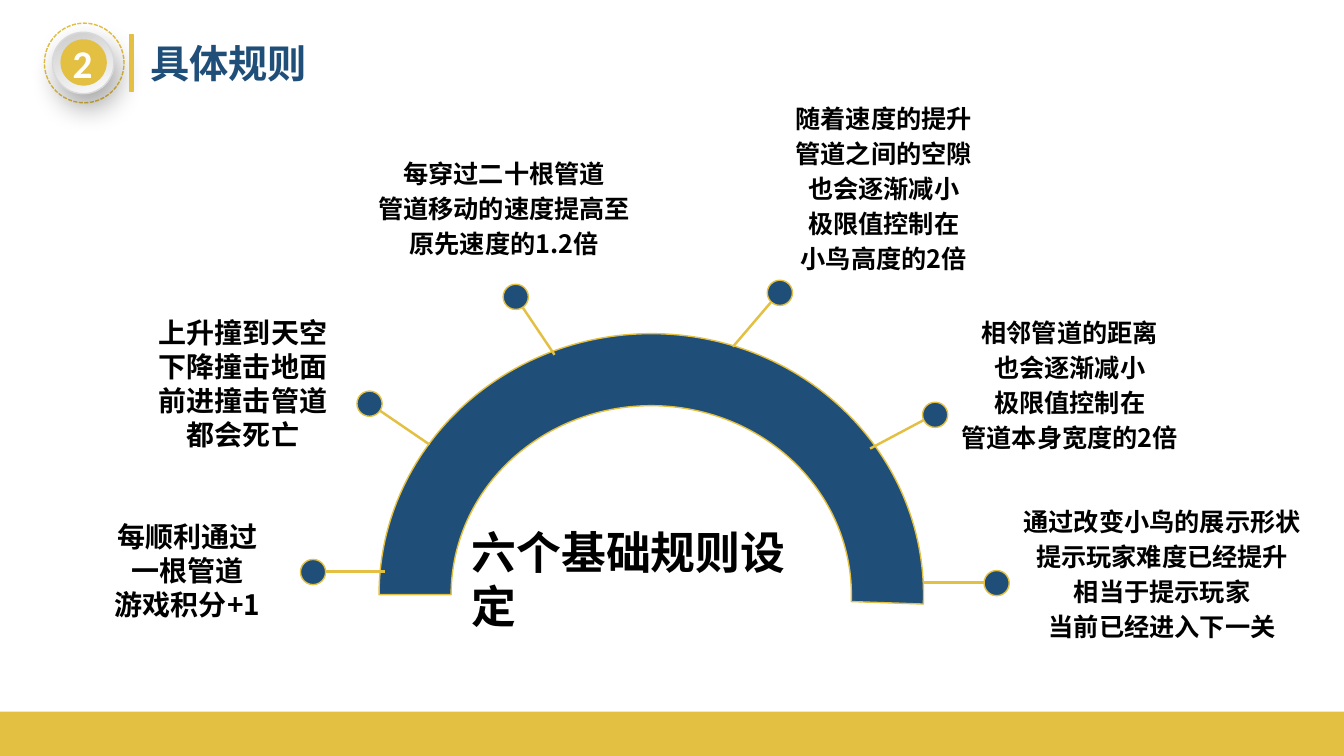
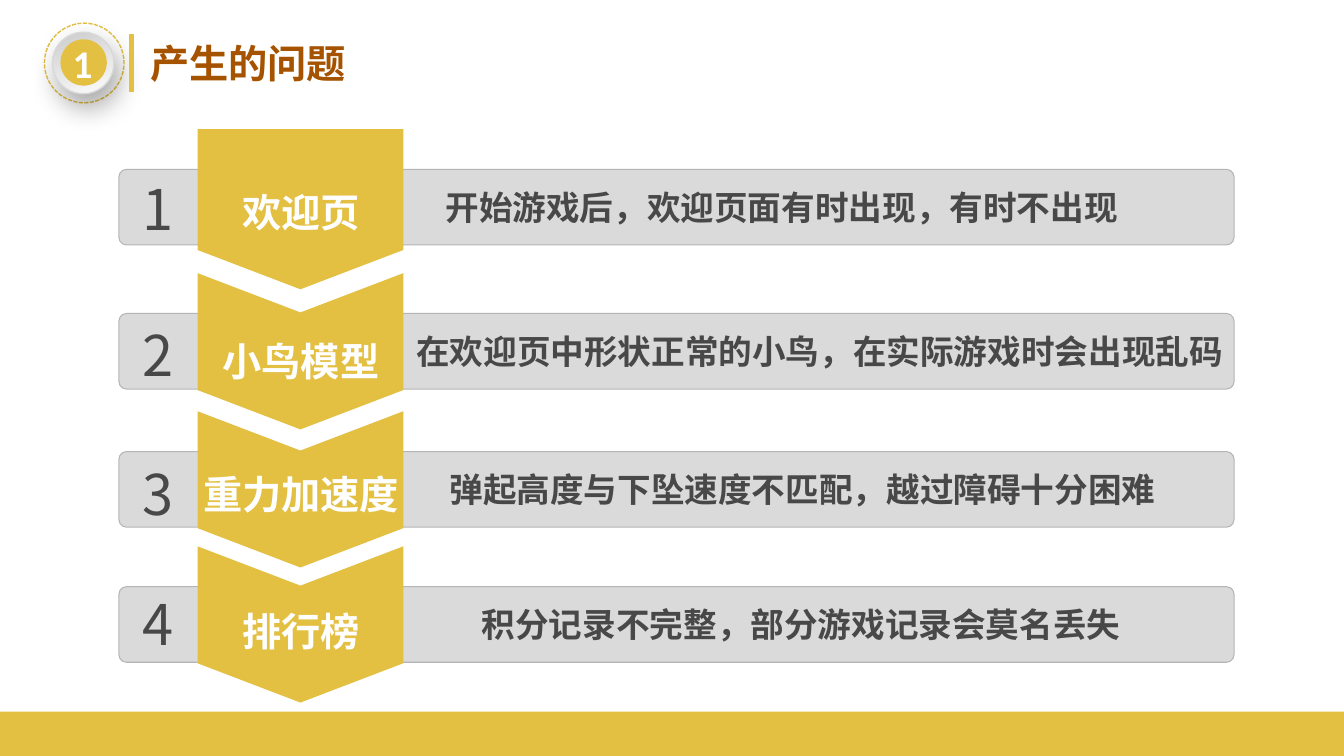
from lxml import etree
from pptx import Presentation
from pptx.dml.color import RGBColor
from pptx.enum.dml import MSO_LINE
from pptx.enum.shapes import MSO_CONNECTOR, MSO_SHAPE
from pptx.enum.text import MSO_ANCHOR, MSO_AUTO_SIZE, PP_ALIGN
from pptx.oxml import parse_xml
from pptx.oxml.ns import nsdecls, qn
from pptx.util import Inches, Pt

RECT, OVAL = MSO_SHAPE.RECTANGLE, MSO_SHAPE.OVAL
ROUNDED, ARC = MSO_SHAPE.ROUNDED_RECTANGLE, MSO_SHAPE.BLOCK_ARC
STRAIGHT, DASH = MSO_CONNECTOR.STRAIGHT, MSO_LINE.SQUARE_DOT
LEFT, CENTER = PP_ALIGN.LEFT, PP_ALIGN.CENTER
MIDDLE, NO_FIT = MSO_ANCHOR.MIDDLE, MSO_AUTO_SIZE.NONE

COLORS = {
    "gold": "E3BF42", "navy": "1F4E79", "rust": "A65300", "white": "FFFFFF",
    "black": "000000", "text": "484849", "bar": "DADADB", "bar_edge": "B5B5B7",
    "ring_edge": "D9D9D9", "ring_dark": "CCCCCC", "ring_light": "FCFCFC",
}
CJK = "Noto Sans CJK SC"

SPOKES = [
    ((9.16, 5.78), (9.88, 5.78), (9.98, 4.92, 3.09, 1.5), 18, 25,
     ["通过改变小鸟的展示形状", "提示玩家难度已经提升", "相当于提示玩家", "当前已经进入下一关"]),
    ((8.63, 4.45), (9.27, 4.11), (9.33, 3.05, 2.56, 1.5), 18, 25,
     ["相邻管道的距离", "也会逐渐减小", "极限值控制在", "管道本身宽度的2倍"]),
    ((7.27, 3.44), (7.73, 2.9), (7.55, 0.92, 2.43, 1.85), 18, 25,
     ["随着速度的提升", "管道之间的空隙", "也会逐渐减小", "极限值控制在", "小鸟高度的2倍"]),
    ((5.5, 3.52), (5.11, 2.94), (3.61, 1.47, 2.78, 1.15), 18, 25,
     ["每穿过二十根管道", "管道移动的速度提高至", "原先速度的1.2倍"]),
    ((4.26, 4.41), (3.66, 4.0), (1.32, 3.07, 2.18, 1.46), 20, 24.3,
     ["上升撞到天空", "下降撞击地面", "前进撞击管道", "都会死亡"]),
    ((3.82, 5.67), (3.1, 5.67), (0.89, 5.1, 1.94, 1.12), 20, 24.3,
     ["每顺利通过", "一根管道", "游戏积分+1"]),
]

PROBLEMS = [
    (1.68, 1.82, 1.68, 4.32, "欢迎页", "开始游戏后，欢迎页面有时出现，有时不出现"),
    (3.11, 3.29, 3.13, 4.03, "小鸟模型", "在欢迎页中形状正常的小鸟，在实际游戏时会出现乱码"),
    (4.48, 4.61, 4.51, 4.36, "重力加速度", "弹起高度与下坠速度不匹配，越过障碍十分困难"),
    (5.82, 5.97, 5.8, 4.68, "排行榜", "积分记录不完整，部分游戏记录会莫名丢失"),
]


def rgb(name):
    """Return the named colour."""
    return RGBColor.from_string(COLORS[name])


def paint(sp, fill=None, line=None, width=1):
    """Set fill and line and remove the shadow."""
    sp.shadow.inherit = False
    if fill:
        sp.fill.solid()
        sp.fill.fore_color.rgb = rgb(fill)
    else:
        sp.fill.background()
    if line:
        sp.line.color.rgb = rgb(line)
        sp.line.width = Pt(width)
    else:
        sp.line.fill.background()
    return sp


def add_shape(s, kind, box, fill=None, line=None, width=1):
    """Add a painted preset shape."""
    sp = s.shapes.add_shape(kind, *map(Inches, box))
    return paint(sp, fill, line, width)


def write(sp, lines, size, color, align=CENTER, bold=True, font=CJK,
          wrap=True, spacing=None):
    """Write equally formatted paragraphs into a shape."""
    tf = sp.text_frame
    tf.text = "\n".join(lines)
    tf.auto_size = NO_FIT
    tf.word_wrap = wrap
    tf.vertical_anchor = MIDDLE
    for p in tf.paragraphs:
        p.alignment = align
        if spacing:
            p.line_spacing = Pt(spacing)
        for f in [p.font] + [r.font for r in p.runs]:
            f.size, f.bold, f.name = Pt(size), bold, font
            f.color.rgb = rgb(color)
        for r in p.runs:
            latin = r.font._element.find(qn("a:latin"))
            ea = etree.Element(qn("a:ea"), typeface=font)
            latin.addnext(ea)


def add_text(s, box, lines, size, color, **style):
    """Add a text box."""
    write(s.shapes.add_textbox(*map(Inches, box)), lines, size, color, **style)


def add_badge(s, x, y, number):
    """Draw the round number badge."""
    add_shape(s, OVAL, (x, y, 0.79, 0.79), line="gold").line.dash_style = DASH
    ring = add_shape(s, OVAL, (x + 0.08, y + 0.09, 0.61, 0.61), line="ring_edge")
    ring.fill.gradient()
    ring.fill.gradient_angle = 290
    for stop, name, position in zip(ring.fill.gradient_stops,
                                    ("ring_dark", "ring_light"), (0, 1)):
        stop.color.rgb = rgb(name)
        stop.position = position
    effects = ring._element.spPr.find(qn("a:effectLst"))
    effects.append(parse_xml(
        f'<a:outerShdw {nsdecls("a")} blurRad="{Pt(20)}" dist="{Pt(10)}" '
        f'dir="{70 * 60000}" algn="ctr" rotWithShape="0"><a:srgbClr '
        f'val="{COLORS["black"]}"><a:alpha val="34000"/></a:srgbClr></a:outerShdw>'))
    add_shape(s, OVAL, (x + 0.16, y + 0.16, 0.46, 0.46), "gold")
    add_text(s, (x + 0.18, y + 0.11, 0.4, 0.57), [number], 28, "white",
             font="Calibri", wrap=False)


def add_slide(prs, number, title, color):
    """Add a slide with its band, badge and title."""
    s = prs.slides.add_slide(prs.slide_layouts[5])
    add_shape(s, RECT, (0, 7.06, 13.33, 0.44), "gold")
    add_badge(s, 0.44, 0.23, number)
    add_shape(s, RECT, (1.29, 0.34, 0.03, 0.57), "gold", "gold")
    sp = s.shapes.title
    sp.left, sp.top, sp.width, sp.height = map(Inches, (1.39, 0.34, 6, 0.57))
    write(sp, [title], 28, color, align=LEFT)
    return s


def add_spoke(s, start, center, box, size, spacing, lines):
    """Draw one rule: a line from the arc, a dot and its text."""
    line = s.shapes.add_connector(STRAIGHT, *map(Inches, start + center))
    line.line.color.rgb = rgb("gold")
    line.line.width = Pt(1.75)
    etree.SubElement(line._element.spPr, qn("a:effectLst"))
    x, y = center
    add_shape(s, OVAL, (x - 0.12, y - 0.12, 0.25, 0.25), "navy", "gold")
    add_text(s, box, lines, size, "black", spacing=spacing)


def add_chevron(s, x, y, width, side, notched):
    """Draw a downward arrow block, notched below another one."""
    tip, mid = 0.39, x + width / 2
    points = [(x + width, y), (x + width, y + side), (mid, y + side + tip),
              (x, y + side), (x, y)]
    if notched:
        points.append((mid, y + tip))
    points = [(Inches(px), Inches(py)) for px, py in points]
    builder = s.shapes.build_freeform(*points[0])
    builder.add_line_segments(points[1:], close=True)
    paint(builder.convert_to_shape(), "gold")


def add_problem(s, index, top, label_top, number_top, text_left, label, text):
    """Draw one problem row."""
    bar = add_shape(s, ROUNDED, (1.18, top, 11.06, 0.75), "bar", "bar_edge", 0)
    bar.adjustments[0] = 0.1
    add_chevron(s, 1.96, top - 0.4, 2.04, 1.16 if index else 1.2, index > 0)
    add_text(s, (1.24, number_top, 0.66, 0.77), [str(index + 1)], 40, "text",
             bold=False)
    add_text(s, (1.9, label_top, 2.17, 0.57), [label], 28, "white")
    add_text(s, (text_left, top + 0.12, 8.21, 0.5), [text], 24, "text", align=LEFT)


def rules_slide(prs):
    """Build the slide of six rules around an arc."""
    s = add_slide(prs, "2", "具体规则", "navy")
    arc = add_shape(s, ARC, (3.76, 3.31, 5.4, 5.18), "navy", "gold")
    for i, value in enumerate((108, 1.182, 0.138)):
        arc.adjustments[i] = value
    for spoke in SPOKES:
        add_spoke(s, *spoke)
    add_text(s, (4.58, 5.15, 3.6, 1.18), ["六个基础规则设定"], 32, "black",
             align=LEFT, spacing=38.6)


def problems_slide(prs):
    """Build the slide of numbered problems."""
    s = add_slide(prs, "1", "产生的问题", "rust")
    for i, row in enumerate(PROBLEMS):
        add_problem(s, i, *row)


def main():
    """Build and save the presentation."""
    prs = Presentation()
    prs.slide_width, prs.slide_height = Inches(13.33), Inches(7.5)
    rules_slide(prs)
    problems_slide(prs)
    prs.save("out.pptx")


if __name__ == "__main__":
    main()
